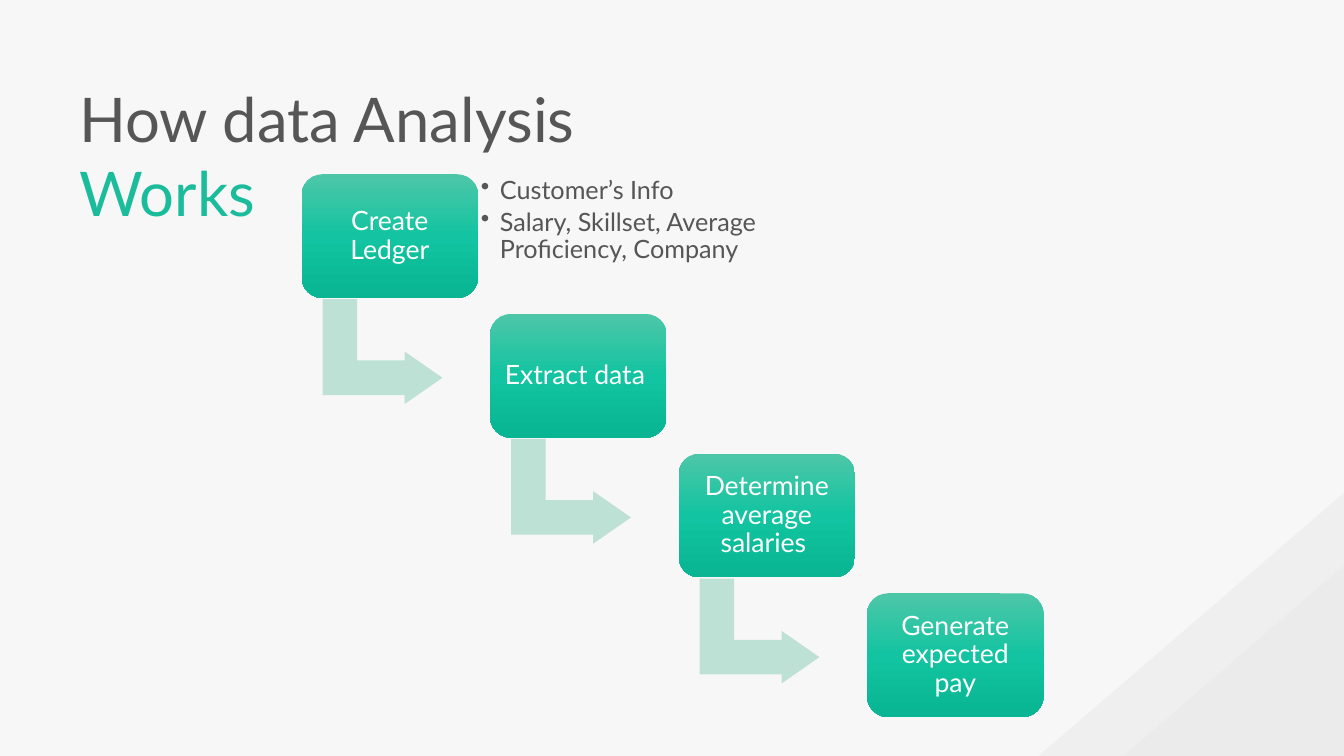
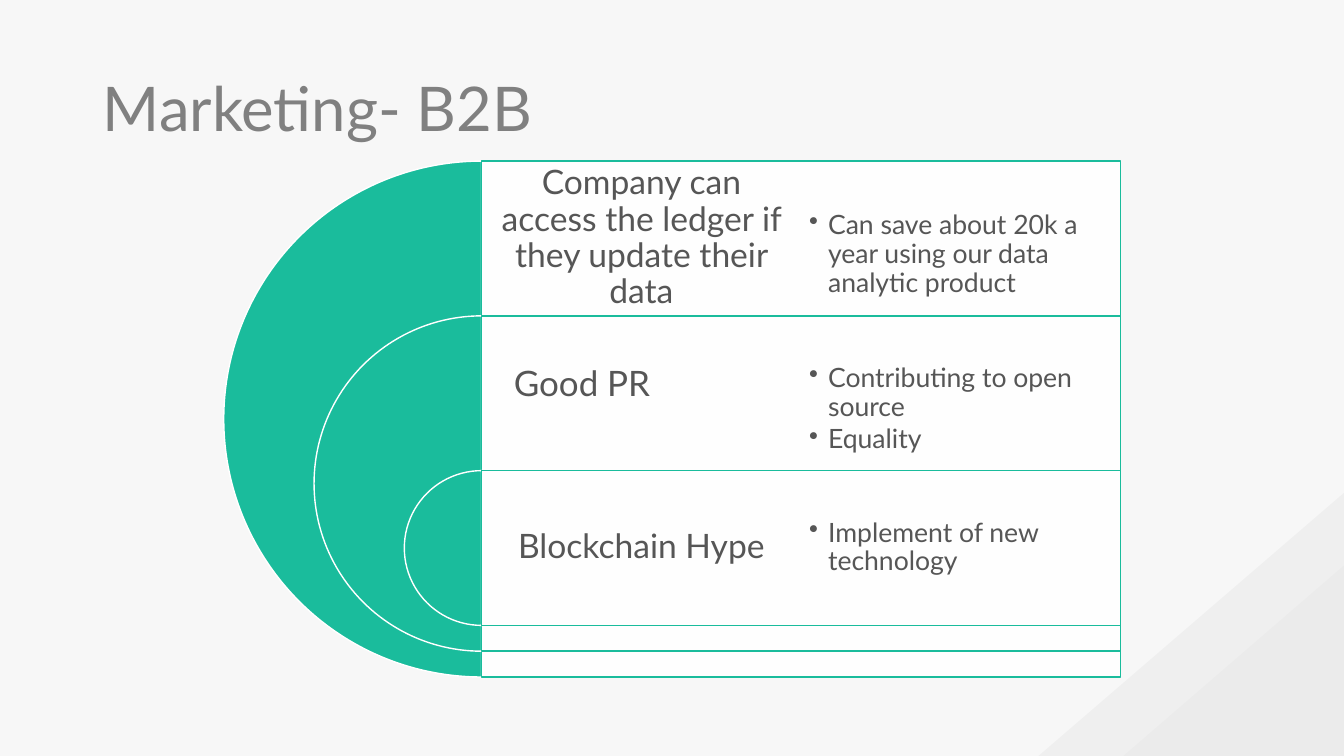
from copy import deepcopy
from dataclasses import dataclass

from lxml import etree
from pptx import Presentation
from pptx import util as u
from pptx.dml.color import RGBColor
from pptx.enum import shapes, text
from pptx.oxml.ns import qn


@dataclass(frozen=True)
class Theme:
    font: str = "Lato"
    back: str = "F7F7F7"
    corner: str = "919191"
    ink: str = "565656"
    muted: str = "808080"
    accent: str = "1ABC9C"
    arrow: str = "BDE1D5"
    white: str = "FFFFFF"
    gradient: tuple = ("4DC7A8", "12C4A1", "09B593")
    title: int = 44
    good: int = 25
    label: int = 24
    body: int = 19
    detail: int = 18


T = Theme()
S = shapes.MSO_SHAPE
A = text.PP_ALIGN
WIDTH, HEIGHT = 33.87, 19.05


def add_shape(slide, kind, box, fill, alpha=100, line=None, adj=()):
    sp = slide.shapes.add_shape(kind, *map(u.Cm, box))
    sp.shadow.inherit = False
    for i, value in enumerate(adj):
        sp.adjustments[i] = value
    sp.fill.solid()
    sp.fill.fore_color.rgb = RGBColor.from_string(fill)
    if alpha < 100:
        color = sp._element.spPr.find(".//" + qn("a:srgbClr"))
        etree.SubElement(color, qn("a:alpha"), val=str(alpha * 1000))
    if line:
        sp.line.color.rgb = RGBColor.from_string(line)
        sp.line.width = u.Pt(1)
    else:
        sp.line.fill.background()
    return sp


def write(sp, paragraphs, size, insets, align=A.LEFT, spacing=0.9,
          anchor=text.MSO_ANCHOR.MIDDLE, bullets=False):
    tf = sp.text_frame
    tf.word_wrap = True
    tf.auto_size = text.MSO_AUTO_SIZE.NONE
    tf.vertical_anchor = anchor
    tf.margin_left, tf.margin_top, tf.margin_right, tf.margin_bottom = map(u.Cm, insets)
    for i, runs in enumerate(paragraphs):
        p = tf.add_paragraph() if i else tf.paragraphs[0]
        p.alignment = align
        p.line_spacing = spacing
        p.space_before = u.Pt(0)
        p.space_after = u.Pt(3 if bullets else 0)
        if bullets:
            pPr = p._p.get_or_add_pPr()
            pPr.set("marL", str(u.Cm(0.48)))
            pPr.set("indent", str(-u.Cm(0.48)))
            etree.SubElement(pPr, qn("a:buChar"), char="•")
        for words, color in runs:
            r = p.add_run()
            r.text = words
            r.font.name = T.font
            r.font.size = u.Pt(size)
            r.font.color.rgb = RGBColor.from_string(color)


prs = Presentation()
prs.slide_width, prs.slide_height = u.Cm(WIDTH), u.Cm(HEIGHT)
master = prs.slide_master
master.background.fill.solid()
master.background.fill.fore_color.rgb = RGBColor.from_string(T.back)

titles = [
    ((1.75, 1.9, 16.9, 4), 1.0, [("How data Analysis ", T.ink), ("Works", T.accent)]),
    ((2.34, 1.83, 19.9, 3.56), 0.9, [("Marketing- B2B", T.muted)]),
]
slides = []
for box, spacing, runs in titles:
    s = prs.slides.add_slide(prs.slide_layouts[5])
    title = s.shapes.title
    title.left, title.top, title.width, title.height = map(u.Cm, box)
    write(title, [runs], T.title, (0.25, 0.13, 0.25, 0.13), spacing=spacing,
          anchor=text.MSO_ANCHOR.TOP)
    slides.append(s)
analysis, marketing = slides

for i, (w, h, alpha) in enumerate([(7.7, 6.63, 7), (5.56, 4.8, 4)]):
    corner = add_shape(analysis, S.ISOSCELES_TRIANGLE, (WIDTH - w, HEIGHT - h, w, h),
                       T.corner, alpha, adj=[1])
    master.shapes._spTree.insert(2 + i, corner._element)

steps = ["Create Ledger", "Extract data ", "Determine average salaries ", "Generate expected pay"]
for i, step in enumerate(steps):
    x, y = 7.6 + 4.75 * i, 4.39 + 3.52 * i
    if i < len(steps) - 1:
        arrow = add_shape(analysis, S.BENT_UP_ARROW, (x + 0.72, y + 2.96, 2.64, 3.02),
                          T.arrow, adj=[0.33, 0.25, 0.36])
        arrow.rotation = 90
    card = add_shape(analysis, S.ROUNDED_RECTANGLE, (x, y, 4.45, 3.12), T.white, adj=[0.17])
    card.fill.gradient()
    card.fill.gradient_angle = 270
    stop_list = card._element.spPr.find(".//" + qn("a:gsLst"))
    stop_list.append(deepcopy(stop_list[0]))
    for n, (stop, color) in enumerate(zip(card.fill.gradient_stops, T.gradient)):
        stop.position = n / 2
        stop.color.rgb = RGBColor.from_string(color)
    write(card, [[(step, T.white)]], T.body, (0.2,) * 4, A.CENTER)

details = analysis.shapes.add_textbox(*map(u.Cm, (11.94, 4.57, 7.57, 2.51)))
write(details, [[("Customer’s Info", T.ink)],
                [("Salary, Skillset, Average Proficiency, Company", T.ink)]],
      T.detail, (0.18, 0.18, 0.18, 0.7), bullets=True)

axis, top, row, half = 12.14, 4.06, 3.9, 8.05
for i in range(3):
    size = 13 - 4.55 * i
    y = top + row * i
    add_shape(marketing, S.PIE, (axis - size / 2, y, size, size), T.accent,
              line=T.white, adj=[54, 162])
    add_shape(marketing, S.RECTANGLE, (axis, y, 2 * half, size), T.white, 90, T.accent)

benefits = [
    ("Company can access the ledger if they update their data",
     ["Can save about 20k a year using our data analytic product"], 1.02),
    ("Good PR", ["Contributing to open source", "Equality"], 1.02),
    ("Blockchain Hype", ["Implement of new technology"], 0.2),
]
for i, (label, points, inset) in enumerate(benefits):
    y = top + row * i
    if label == "Good PR":
        box = marketing.shapes.add_textbox(*map(u.Cm, (12.95, 8.76, 6.86, 1.42)))
        write(box, [[(label, T.ink)]], T.good, (0, 0.13, 0.25, 0.13), spacing=1.2,
              anchor=text.MSO_ANCHOR.TOP)
    else:
        box = marketing.shapes.add_textbox(*map(u.Cm, (axis, y, half, row)))
        write(box, [[(label, T.ink)]], T.label, (0.25,) * 4, A.CENTER)
    box = marketing.shapes.add_textbox(*map(u.Cm, (axis + half, y, half, row)))
    write(box, [[(point, T.ink)] for point in points], T.body,
          (0.2, inset, 0.2, 0.2), bullets=True)

prs.save("out.pptx")
